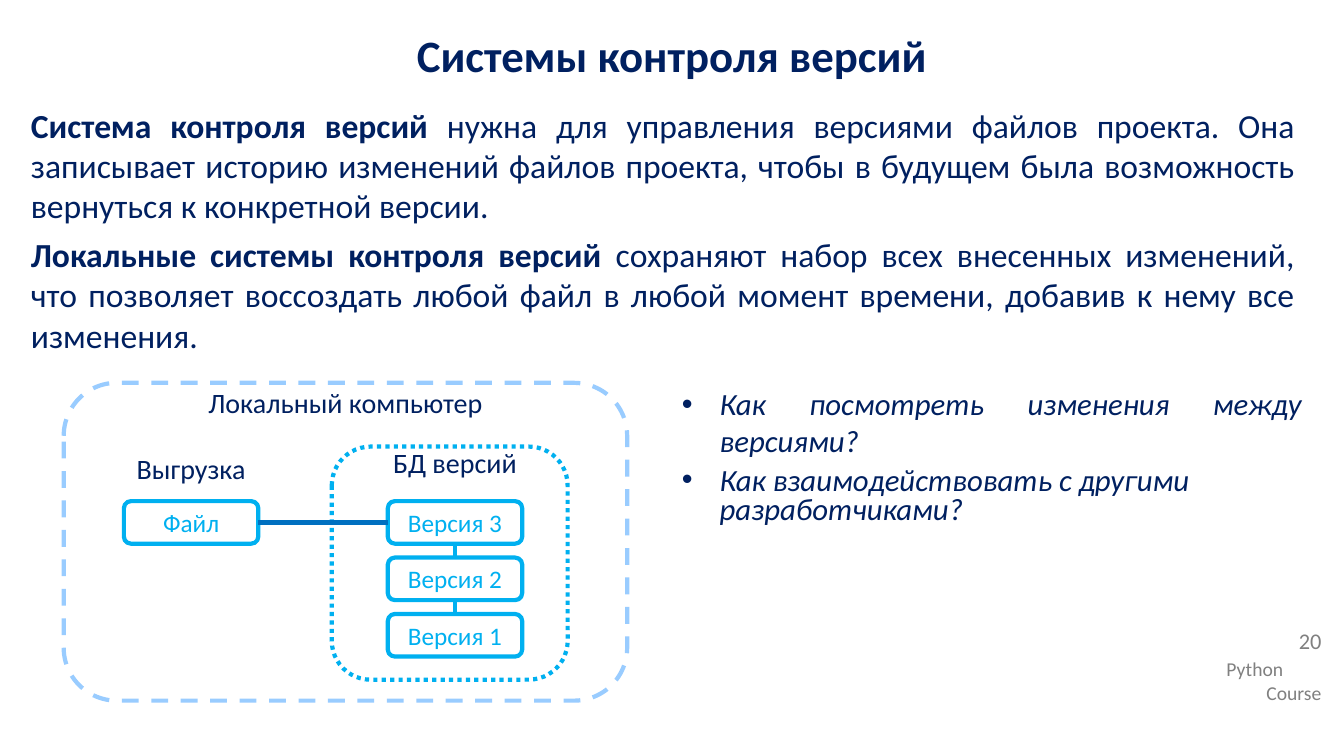
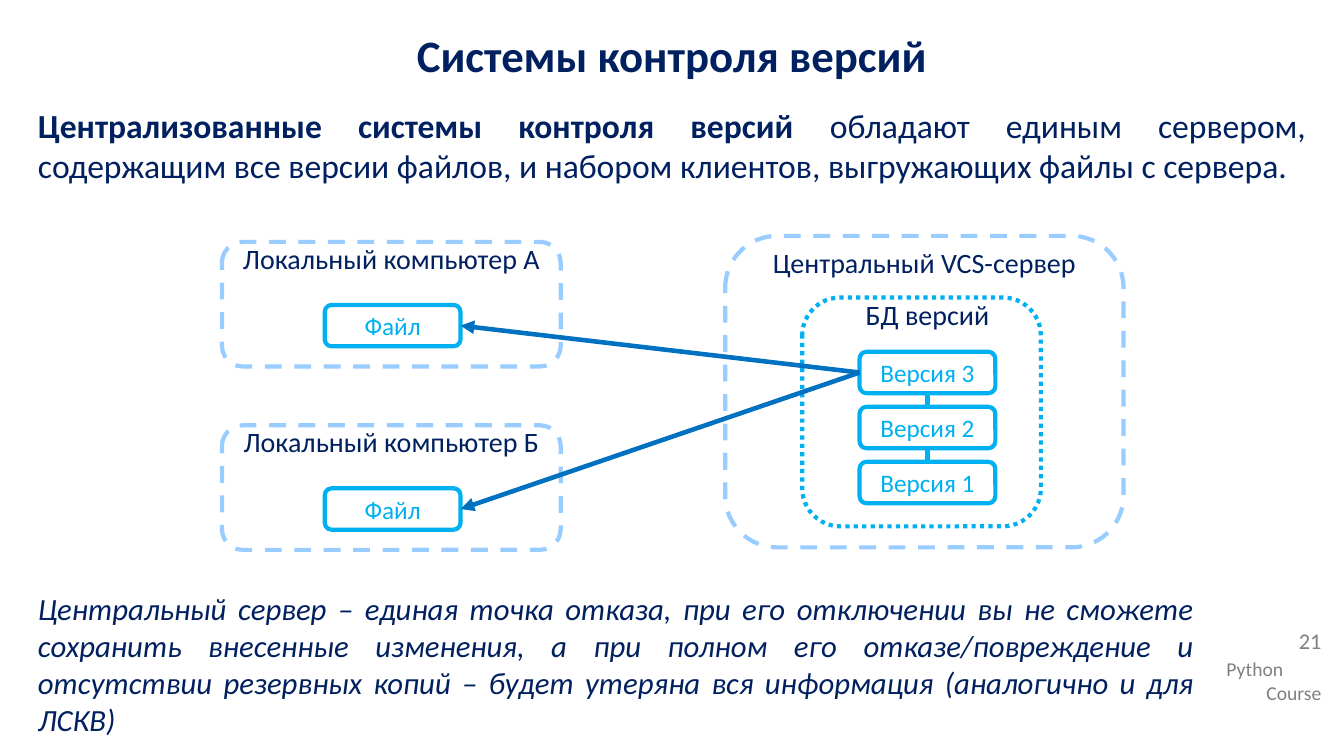
from dataclasses import dataclass

import lxml.etree
import pptx
import pptx.dml.color
import pptx.enum.dml
import pptx.enum.shapes
import pptx.enum.text
import pptx.oxml.ns
import pptx.util

Pt = pptx.util.Pt
ALIGN = pptx.enum.text.PP_ALIGN
DASH = pptx.enum.dml.MSO_LINE
SHAPE = pptx.enum.shapes.MSO_SHAPE
TOP, LEFT, BOTTOM, RIGHT = range(4)


@dataclass(frozen=True)
class Theme:
    font: str = "Calibri"
    # Colours
    navy: str = "002060"
    cyan: str = "00B0F0"
    pale: str = "99CCFF"
    blue: str = "0070C0"
    grey: str = "808080"
    # Type sizes
    title: int = 32
    body: int = 24
    remark: int = 22
    label: int = 20
    node: int = 18
    number: int = 16
    footer: int = 14
    # Line widths and spacing
    outline: float = 3
    link: float = 3.5
    arrow: float = 3.25
    gap: int = 6
    label_height: int = 32


THEME = Theme()


def rgb(value):
    return pptx.dml.color.RGBColor.from_string(value)


def add_xml(parent, tag, **attributes):
    return lxml.etree.SubElement(parent, pptx.oxml.ns.qn(tag), attributes)


# Text

def add_run(para, text, size, color=THEME.navy, bold=False, italic=False):
    span = para.add_run()
    span.text = text
    span.font.name = THEME.font
    span.font.size = Pt(size)
    span.font.color.rgb = rgb(color)
    span.font.bold = bold
    span.font.italic = italic


def add_box(page, left, top, width, height):
    box = page.shapes.add_textbox(Pt(left), Pt(top), Pt(width), Pt(height))
    box.text_frame.word_wrap = True
    return box.text_frame


def add_para(frame, align, after=0, line_spacing=None):
    """Use the empty first paragraph, then append further ones."""
    first = frame.paragraphs[0]
    para = frame.add_paragraph() if first.runs else first
    para.alignment = align
    para.space_after = Pt(after)
    if line_spacing:
        para.line_spacing = line_spacing
    return para


def add_bullet(para, indent=27):
    properties = para._p.get_or_add_pPr()
    properties.set("marL", str(Pt(indent)))
    properties.set("indent", str(-Pt(indent)))
    add_xml(properties, "a:buFont", typeface="Arial")
    add_xml(properties, "a:buChar", char="•")


def add_label(page, text, left, top, width):
    frame = add_box(page, left, top, width, THEME.label_height)
    add_run(add_para(frame, ALIGN.CENTER, THEME.gap), text, THEME.label)


def add_definitions(page, left, width, height, definitions):
    frame = add_box(page, left, 71.2, width, height)
    for term, meaning in definitions:
        para = add_para(frame, ALIGN.JUSTIFY, THEME.gap)
        add_run(para, term + " ", THEME.body, bold=True)
        add_run(para, meaning, THEME.body)


# Diagram parts

def add_outline(page, left, top, width, height, color, dash=None):
    shape = page.shapes.add_shape(
        SHAPE.ROUNDED_RECTANGLE, Pt(left), Pt(top), Pt(width), Pt(height))
    shape.shadow.inherit = False
    shape.fill.background()
    shape.line.color.rgb = rgb(color)
    shape.line.width = Pt(THEME.outline)
    if dash:
        shape.line.dash_style = dash
    return shape


def add_computer(page, left, top, width, height):
    add_outline(page, left, top, width, height, THEME.pale, DASH.DASH)


def add_database(page, left, top, width, height):
    add_outline(page, left, top, width, height, THEME.cyan, DASH.ROUND_DOT)


def add_node(page, text, left, top, width, height):
    node = add_outline(page, left, top, width, height, THEME.cyan)
    frame = node.text_frame
    frame.vertical_anchor = pptx.enum.text.MSO_ANCHOR.MIDDLE
    add_run(add_para(frame, ALIGN.CENTER), text, THEME.node, THEME.cyan)
    return node


def add_link(page, start, start_side, end, end_side, color, width, arrow=False):
    link = page.shapes.add_connector(
        pptx.enum.shapes.MSO_CONNECTOR.STRAIGHT, Pt(0), Pt(0), Pt(0), Pt(0))
    link.begin_connect(start, start_side)
    link.end_connect(end, end_side)
    link.line.color.rgb = rgb(color)
    link.line.width = Pt(width)
    if arrow:
        add_xml(link.line._get_or_add_ln(), "a:tailEnd", type="triangle")
    add_xml(link._element.spPr, "a:effectLst")


def add_versions(page, left, top, width, height, pitch):
    """Stack the versions, newest first, and return the newest."""
    nodes = [
        add_node(page, f"Версия {number}", left, top + row * pitch, width, height)
        for row, number in enumerate((3, 2, 1))
    ]
    for upper, lower in zip(nodes, nodes[1:]):
        add_link(page, upper, BOTTOM, lower, TOP, THEME.cyan, THEME.link)
    return nodes[0]


def add_client(page, letter, left, top):
    """Draw a local computer and return its file."""
    width = 242
    add_computer(page, left, top, width, 89)
    add_label(page, f"Локальный компьютер {letter}", left, top - 4, width)
    return add_node(page, "Файл", left + 73.5, top + 45, 97, 29.6)


# Slides

def add_page(deck, number):
    """Start a page with the shared title, footer and page number."""
    page = deck.slides.add_slide(deck.slide_layouts[6])
    title = add_box(page, 0, 16.5, 960, 55)
    add_run(add_para(title, ALIGN.CENTER, 5), "Системы контроля версий",
            THEME.title, bold=True)
    footer = add_box(page, 869, 466, 82, 41)
    for word, align in (("Python", ALIGN.LEFT), ("Course", ALIGN.RIGHT)):
        add_run(add_para(footer, align), word, THEME.footer, THEME.grey)
    counter = add_box(page, 869, 446.5, 82, 32)
    add_run(add_para(counter, ALIGN.RIGHT, line_spacing=0.9), str(number),
            THEME.number, THEME.grey)
    return page


def add_local_systems(deck):
    page = add_page(deck, 20)
    add_definitions(page, 15, 917, 188, (
        ("Система контроля версий",
         "нужна для управления версиями файлов проекта. Она записывает историю "
         "изменений файлов проекта, чтобы в будущем была возможность вернуться "
         "к конкретной версии."),
        ("Локальные системы контроля версий",
         "сохраняют набор всех внесенных изменений, что позволяет воссоздать "
         "любой файл в любой момент времени, добавив к нему все изменения."),
    ))

    # Local computer with its version database
    add_computer(page, 45.5, 273.5, 402.5, 227)
    add_label(page, "Локальный компьютер", 45.5, 271.5, 402.5)
    add_label(page, "Выгрузка", 68, 319, 137)
    add_database(page, 237, 319, 168.5, 166.5)
    add_label(page, "БД версий", 271, 314.5, 108)
    newest = add_versions(page, 277, 358, 96, 30.4, 40.3)
    file = add_node(page, "Файл", 88.5, 358, 96, 30.4)
    add_link(page, file, RIGHT, newest, LEFT, THEME.blue, THEME.link)

    # Open questions
    questions = add_box(page, 480, 271.5, 457, 110)
    for text, align, line_spacing in (
        ("Как посмотреть изменения между версиями?", ALIGN.JUSTIFY, None),
        ("Как взаимодействовать с другими разработчиками?", ALIGN.LEFT, 0.8),
    ):
        para = add_para(questions, align, THEME.gap, line_spacing)
        add_bullet(para)
        add_run(para, text, THEME.remark, italic=True)


def add_central_systems(deck):
    page = add_page(deck, 21)
    add_definitions(page, 20, 920, 65.5, (
        ("Централизованные системы контроля версий",
         "обладают единым сервером, содержащим все версии файлов, и набором "
         "клиентов, выгружающих файлы с сервера."),
    ))

    # Central server with its version database
    add_computer(page, 518, 168.5, 284.5, 222.5)
    add_label(page, "Центральный VCS-сервер", 518, 172, 284.5)
    add_database(page, 573, 212.5, 170.5, 163.5)
    add_label(page, "БД версий", 608, 209, 109)
    newest = add_versions(page, 614, 251.3, 97, 29.6, 39.3)

    # Clients fetching the newest version
    for row, letter in enumerate("АБ"):
        file = add_client(page, letter, 158.5, 172.8 + row * 131)
        add_link(page, newest, LEFT, file, RIGHT, THEME.blue, THEME.arrow, True)

    # Drawback
    remark = add_box(page, 20, 417.5, 839.5, 114)
    add_run(
        add_para(remark, ALIGN.JUSTIFY, THEME.gap),
        "Центральный сервер – единая точка отказа, при его отключении вы не "
        "сможете сохранить внесенные изменения, а при полном его "
        "отказе/повреждение и отсутствии резервных копий – будет утеряна вся "
        "информация (аналогично и для ЛСКВ)",
        THEME.remark, italic=True)


def main():
    deck = pptx.Presentation()
    deck.slide_width, deck.slide_height = Pt(960), Pt(540)
    add_local_systems(deck)
    add_central_systems(deck)
    deck.save("out.pptx")


if __name__ == "__main__":
    main()
